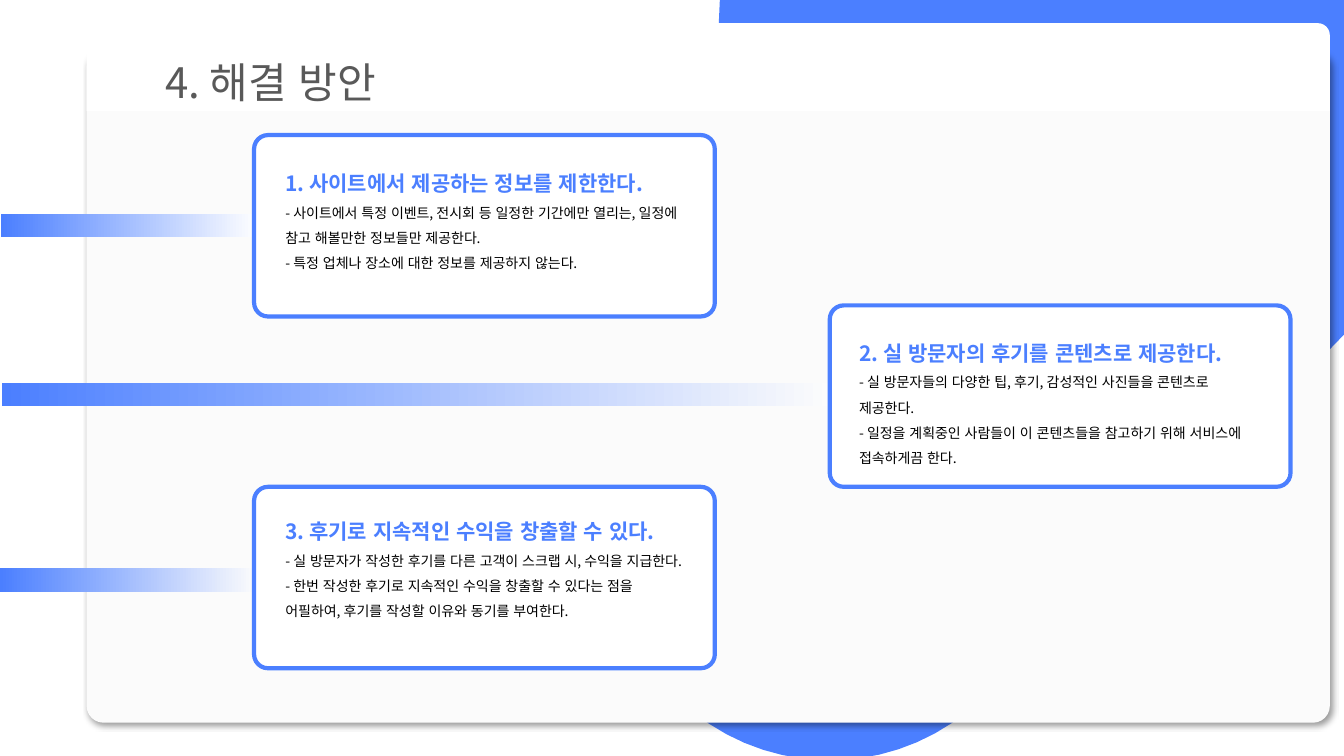
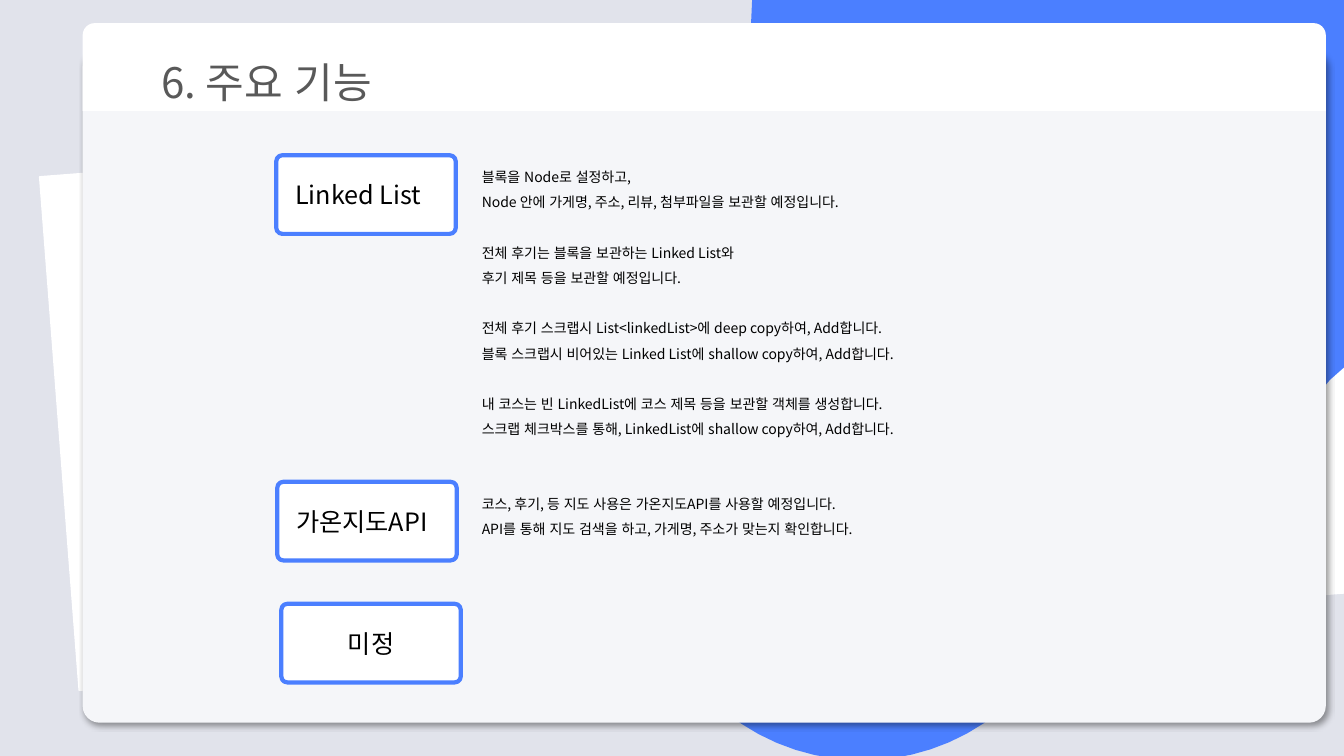
from lxml import etree
from pptx import Presentation
from pptx import util as u
from pptx.dml.color import RGBColor
from pptx.enum import lang, shapes, text
from pptx.oxml import ns

HUES = {"blue": "4B7FFF", "white": "FFFFFF", "black": "000000", "gray": "595959",
        "fade": "FCFCFC", "pale": "FBFBFB", "mist": "F5F6F9", "dusk": "E1E3EB"}
FONT = "Noto Sans CJK KR"
KIND = shapes.MSO_SHAPE
LEFT, MID = text.PP_ALIGN.LEFT, text.PP_ALIGN.CENTER
HEAD = {"size": u.Pt(15), "bold": True}
BODY = {"size": u.Pt(10), "bold": False}
LABEL = {"size": u.Pt(18), "bold": False}
TITLE = {"size": u.Pt(30), "bold": False}

BLOB = [[(13.33, 0)], [(13.33, 3.32)], [(13.05, 3.61)], [(12.87, 3.77)], [(12.82, 3.83)],
        [(12.78, 3.89), (12.73, 3.94), (12.67, 4)], [(9.76, 6.91)],
        [(8.97, 7.7), (7.72, 7.75), (6.87, 7.06)], [(6.7, 6.91)], [(6.55, 6.75)],
        [(5.86, 5.9), (5.91, 4.64), (6.7, 3.85)], [(8.21, 2.35)], [(7.87, 2.01)],
        [(7.38, 1.51), (7.13, 0.86), (7.13, 0.22)], [(7.14, 0)]]

BARS = [(0.01, 2.12, 2.56, "white"), (0.02, 3.8, 8.23, "fade"), (0, 5.64, 2.56, "fade")]
PLANS = [
    (2.52, 1.34, 0.27, 0.19, ["1. 사이트에서 제공하는 정보를 제한한다.",
     "- 사이트에서 특정 이벤트, 전시회 등 일정한 기간에만 열리는, 일정에 참고 해볼만한 정보들만 제공한다.",
     "- 특정 업체나 장소에 대한 정보를 제공하지 않는다."]),
    (8.23, 3.03, 0.25, 0.18, ["2. 실 방문자의 후기를 콘텐츠로 제공한다.",
     "- 실 방문자들의 다양한 팁, 후기, 감성적인 사진들을 콘텐츠로 제공한다.",
     "- 일정을 계획중인 사람들이 이 콘텐츠들을 참고하기 위해 서비스에 접속하게끔 한다."]),
    (2.52, 4.83, 0.27, 0.15, ["3. 후기로 지속적인 수익을 창출할 수 있다.",
     "- 실 방문자가 작성한 후기를 다른 고객이 스크랩 시, 수익을 지급한다.",
     "- 한번 작성한 후기로 지속적인 수익을 창출할 수 있다는 점을 어필하여, 후기를 작성할 이유와 동기를 부여한다."]),
]
TOOLS = [
    (2.74, 1.54, "Linked List", LEFT, 2.88, [
        ["블록을 Node로 설정하고,",
         "Node 안에 가게명, 주소, 리뷰, 첨부파일을 보관할 예정입니다."],
        ["전체 후기는 블록을 보관하는 Linked List와",
         "후기 제목 등을 보관할 예정입니다."],
        ["전체 후기 스크랩시 List<linkedList>에 deep copy하여, Add합니다.",
         "블록 스크랩시 비어있는 Linked List에 shallow copy하여, Add합니다."],
        ["내 코스는 빈 LinkedList에 코스 제목 등을 보관할 객체를 생성합니다.",
         "스크랩 체크박스를 통해, LinkedList에 shallow copy하여, Add합니다."]]),
    (2.75, 4.78, "가온지도API", LEFT, 0.61, [
        ["코스, 후기, 등 지도 사용은 가온지도API를 사용할 예정입니다.",
         "API를 통해 지도 검색을 하고, 가게명, 주소가 맞는지 확인합니다."]]),
    (2.79, 5.99, "미정", MID, 0, []),
]


def tint(name):
    """Return the named colour."""
    return RGBColor.from_string(HUES[name])


def apply(item, form):
    """Set each attribute of a format dict."""
    for key, value in form.items():
        setattr(item, key, value)


def write(para, words, form, hue, space=1.5, align=LEFT, gap=0):
    """Fill one paragraph with formatted words."""
    apply(para, {"line_spacing": space, "alignment": align, "space_before": u.Pt(gap)})
    run = para.add_run()
    run.text = words
    apply(run.font, {**form, "name": FONT, "language_id": lang.MSO_LANGUAGE_ID.KOREAN})
    run.font.color.rgb = tint(hue)
    east = etree.SubElement(run.font._element, ns.qn("a:ea"))
    east.set("typeface", FONT)


def frame(shape, left=0.1, top=0.05, right=0.1, anchor=text.MSO_ANCHOR.TOP):
    """Set the insets of a shape and return its text frame."""
    area = shape.text_frame
    apply(area, {"word_wrap": True, "auto_size": text.MSO_AUTO_SIZE.NONE,
                 "vertical_anchor": anchor, "margin_left": u.Inches(left),
                 "margin_top": u.Inches(top), "margin_right": u.Inches(right),
                 "margin_bottom": u.Inches(0)})
    return area


def block(slide, kind, box, hue, edge=None, width=3, bends=()):
    """Add a flat preset shape in a box."""
    shape = slide.shapes.add_shape(kind, *map(u.Inches, box))
    shape.shadow.inherit = False
    shape.fill.solid()
    shape.fill.fore_color.rgb = tint(hue)
    if edge:
        shape.line.color.rgb = tint(edge)
        shape.line.width = u.Pt(width)
    else:
        shape.line.fill.background()
    for spot, bend in enumerate(bends):
        shape.adjustments[spot] = bend
    return shape


def trace(steps, parts=16):
    """Turn lines and cubic curves into a list of points."""
    dots = []
    for step in steps:
        if len(step) == 1:
            dots += step
            continue
        knots = [dots[-1], *step]
        for n in range(1, parts + 1):
            t = n / parts
            mix = ((1 - t) ** 3, 3 * t * (1 - t) ** 2, 3 * t * t * (1 - t), t ** 3)
            dots.append(tuple(sum(m * k[axis] for m, k in zip(mix, knots)) for axis in (0, 1)))
    return dots


def blob(slide, shift):
    """Draw the blue backdrop, shifted to the right."""
    dots = [(u.Inches(x + shift), u.Inches(y)) for x, y in trace(BLOB)]
    pen = slide.shapes.build_freeform(*dots[0], scale=1.0)
    pen.add_line_segments(dots[1:], close=True)
    shape = pen.convert_to_shape()
    shape.shadow.inherit = False
    shape.fill.solid()
    shape.fill.fore_color.rgb = tint("blue")
    shape.line.fill.background()


def shade(shape):
    """Give a shape a soft shadow to the lower right."""
    glow = shape._element.spPr.find(ns.qn("a:effectLst"))
    drop = etree.SubElement(glow, ns.qn("a:outerShdw"), blurRad=str(u.Pt(4)),
                            dist=str(u.Pt(3)), dir="2700000", algn="tl", rotWithShape="0")
    color = etree.SubElement(drop, ns.qn("a:srgbClr"), val=HUES["black"])
    etree.SubElement(color, ns.qn("a:alpha"), val="40000")


def card(slide, left, hue, words):
    """Draw the card with its title band."""
    shade(block(slide, KIND.ROUNDED_RECTANGLE, (left, 0.5, 12.33, 6.67), hue, bends=[0.025]))
    band = (left, 0.23, 12.33, 0.87)
    block(slide, KIND.ROUND_2_SAME_RECTANGLE, band, "white", bends=[0.137, 0])
    title = slide.shapes.title
    apply(title, dict(zip(("left", "top", "width", "height"), map(u.Inches, band))))
    area = frame(title, left=0.78, top=0.04, anchor=text.MSO_ANCHOR.MIDDLE)
    write(area.paragraphs[0], words, TITLE, "gray")
    slide.shapes._spTree.append(title._element)


def panel(slide, box):
    """Add a white rounded panel with a blue edge."""
    return block(slide, KIND.ROUNDED_RECTANGLE, box, "white", "blue", bends=[0.077])


def bar(slide, x, y, width, end):
    """Add a bar that fades out to the right."""
    fill = block(slide, KIND.RECTANGLE, (x, y, width, 0.23), "blue").fill
    fill.gradient()
    fill.gradient_angle = 0
    for stop, hue in zip(fill.gradient_stops, ("blue", end)):
        stop.color.rgb = tint(hue)


def plan(slide, x, y, left, top, lines):
    """Add a panel with a heading and its points."""
    area = frame(panel(slide, (x, y, 4.57, 1.8)), left, top, 0.5 - left)
    for n, line in enumerate(lines):
        para = area.add_paragraph() if n else area.paragraphs[0]
        write(para, line, BODY if n else HEAD, "black" if n else "blue")


def tool(slide, x, y, name, align, height, groups):
    """Add a label panel with grouped lines beside it."""
    inset = 0.17 if align == LEFT else 0.05
    area = frame(panel(slide, (x, y, 1.78, 0.78)), inset, 0, 0.05, text.MSO_ANCHOR.MIDDLE)
    write(area.paragraphs[0], name, LABEL, "black", 1, align)
    if not groups:
        return
    area = frame(slide.shapes.add_textbox(*map(u.Inches, (4.68, y, 4.75, height))))
    for g, group in enumerate(groups):
        for n, line in enumerate(group):
            para = area.add_paragraph() if g or n else area.paragraphs[0]
            write(para, line, BODY, "black", gap=18 if g and not n else 0)


def start(deck, hue):
    """Add a title-only slide with a plain background."""
    slide = deck.slides.add_slide(deck.slide_layouts[5])
    slide.background.fill.solid()
    slide.background.fill.fore_color.rgb = tint(hue)
    return slide


def answers(deck):
    """Build the slide of solutions."""
    slide = start(deck, "white")
    blob(slide, 0)
    card(slide, 0.86, "pale", "4. 해결 방안")
    for item in BARS:
        bar(slide, *item)
    for item in PLANS:
        plan(slide, *item)


def features(deck):
    """Build the slide of main features."""
    slide = start(deck, "dusk")
    sheet = block(slide, KIND.RECTANGLE, (0.57, 1.25, 12.94, 5.11), "white", "white", 1)
    sheet.rotation = 355.6
    blob(slide, 0.32)
    card(slide, 0.82, "mist", "6. 주요 기능")
    for item in TOOLS:
        tool(slide, *item)


def main():
    """Build and save the deck."""
    deck = Presentation()
    apply(deck, {"slide_width": u.Inches(13.33), "slide_height": u.Inches(7.5)})
    answers(deck)
    features(deck)
    deck.save("out.pptx")


if __name__ == "__main__":
    main()
